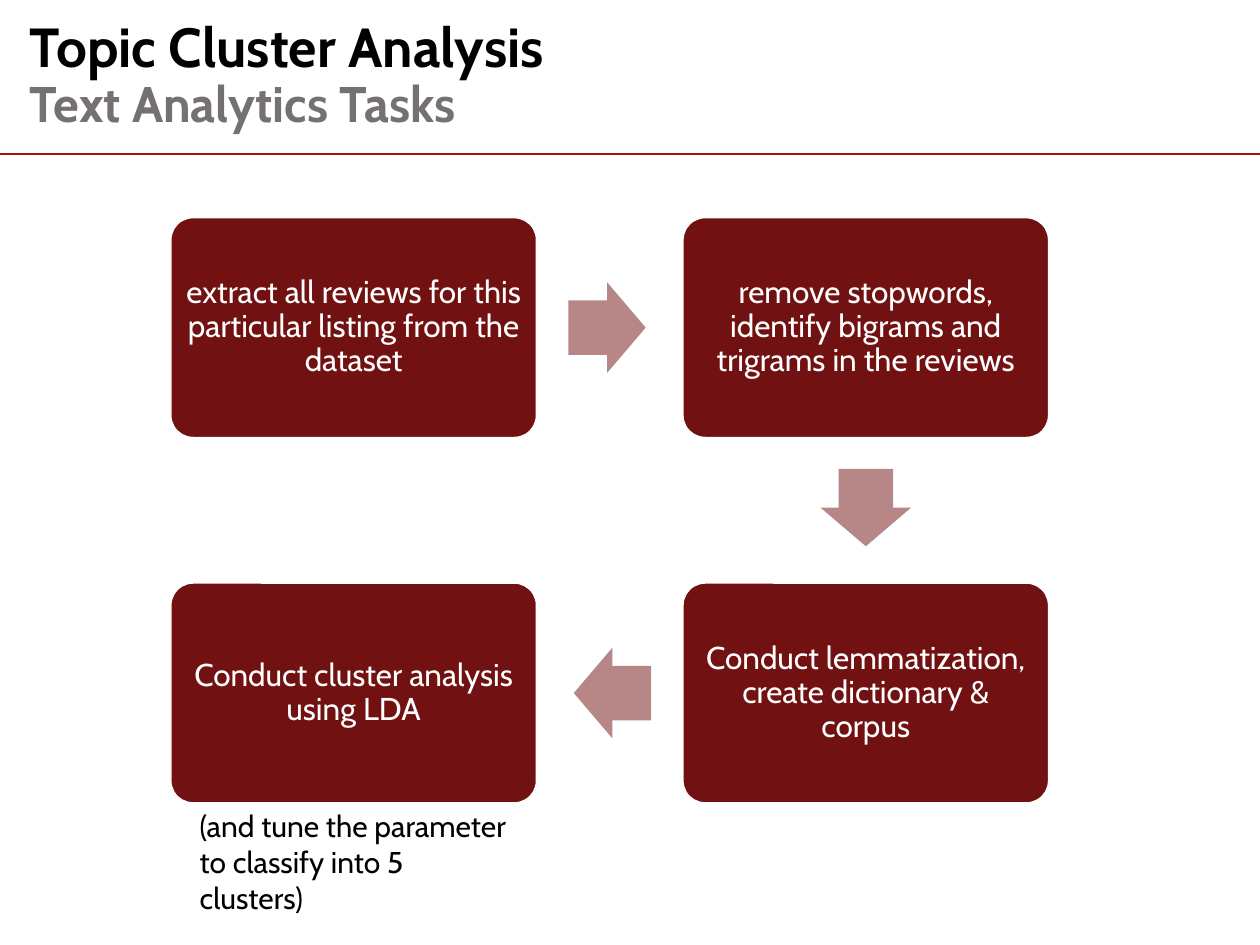
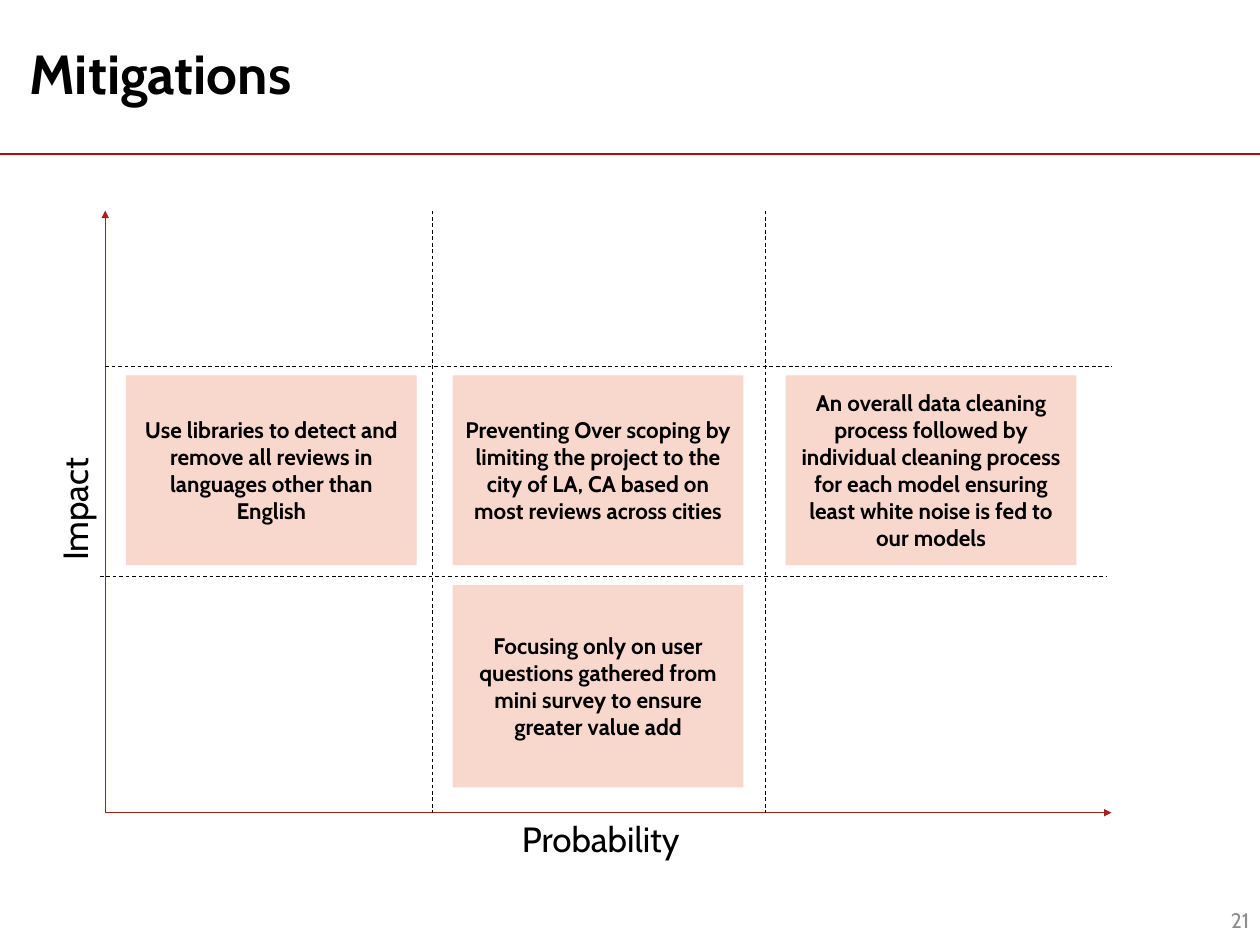
"""Build the topic cluster flow and the mitigation matrix slides."""
import lxml.etree
import pptx
import pptx.dml.color
import pptx.enum.dml
import pptx.enum.shapes
import pptx.enum.text
import pptx.oxml.ns
import pptx.util

Inches = pptx.util.Inches
Pt = pptx.util.Pt
ALIGN = pptx.enum.text.PP_ALIGN
ANCHOR = pptx.enum.text.MSO_ANCHOR
SHAPE = pptx.enum.shapes.MSO_SHAPE

FONT = "Cabin"
COLORS = {
    "text": "000000",
    "subtitle": "767171",
    "rule": "AE0E0E",
    "step": "711111",
    "white": "FFFFFF",
    "axis": "A52020",
    "card": "F8D7CD",
    "number": "8C8C8C",
}
SLIDE_WIDTH, SLIDE_HEIGHT = 14, 10.5
HEADER_HEIGHT = 1.71

STEPS = [
    (0, 0, "extract all reviews for this particular listing from the dataset"),
    (1, 0, "remove stopwords, identify bigrams and trigrams in the reviews"),
    (1, 1, "Conduct lemmatization, create dictionary & corpus"),
    (0, 1, "Conduct cluster analysis using LDA"),
]
CARDS = [
    (0, 1, 2.11, "Use libraries to detect and remove all reviews in languages other than English"),
    (1, 1, 2.11, "Preventing Over scoping by limiting the project to the city of LA, CA "
                 "based on most reviews across cities"),
    (2, 1, 2.11, "An overall data cleaning process followed by individual cleaning process "
                 "for each model ensuring least white noise is fed to our models"),
    (1, 2, 2.25, "Focusing only on user questions gathered from mini survey to ensure "
                 "greater value add"),
]


def color(name):
    """Return the RGB colour registered under a name."""
    return pptx.dml.color.RGBColor.from_string(COLORS[name])


def lengths(*values):
    """Convert inches to slide lengths."""
    return [Inches(value) for value in values]


def add_xml(parent, tag, **attributes):
    """Append a DrawingML child element."""
    return lxml.etree.SubElement(parent, pptx.oxml.ns.qn(tag), attributes)


def format_run(run, size, color_name="text", bold=False):
    """Apply the deck font to one run."""
    run.font.name = FONT
    run.font.size = Pt(size)
    run.font.bold = bold
    run.font.color.rgb = color(color_name)


def write(shape, text, size, color_name="text", bold=False, align=ALIGN.LEFT,
          anchor=ANCHOR.TOP, spacing=1.0):
    """Fill a shape with one formatted paragraph."""
    frame = shape.text_frame
    frame.word_wrap = True
    frame.vertical_anchor = anchor
    frame.text = text
    paragraph = frame.paragraphs[0]
    paragraph.alignment = align
    paragraph.line_spacing = spacing
    for run in paragraph.runs:
        format_run(run, size, color_name, bold)


def add_label(slide, box, text, size, **style):
    """Add a wrapped text box."""
    label = slide.shapes.add_textbox(*lengths(*box))
    write(label, text, size, **style)
    return label


def add_block(slide, kind, box, fill):
    """Add a flat filled shape without an outline."""
    block = slide.shapes.add_shape(kind, *lengths(*box))
    block.shadow.inherit = False
    block.fill.solid()
    block.fill.fore_color.rgb = color(fill)
    block.line.fill.background()
    return block


def add_line(slide, start, end, color_name, width, dashed=False, arrow=False):
    """Add a straight line, optionally dashed or with an arrowhead."""
    line = slide.shapes.add_connector(
        pptx.enum.shapes.MSO_CONNECTOR.STRAIGHT, *lengths(*start, *end))
    line.line.color.rgb = color(color_name)
    line.line.width = Pt(width)
    if dashed:
        line.line.dash_style = pptx.enum.dml.MSO_LINE.DASH
    if arrow:
        add_xml(line.line._get_or_add_ln(), "a:tailEnd", type="triangle")
    add_xml(line._element.spPr, "a:effectLst")


def add_titled_slide(presentation, title, subtitle=None):
    """Add a slide with the header rule, title and optional subtitle."""
    slide = presentation.slides.add_slide(presentation.slide_layouts[5])
    add_line(slide, (-0.03, HEADER_HEIGHT), (SLIDE_WIDTH, HEADER_HEIGHT), "rule", 1.5)
    shape = slide.shapes.title
    shape.left, shape.top, shape.width, shape.height = lengths(
        0.23, 0, SLIDE_WIDTH - 0.23, HEADER_HEIGHT)
    text = f"{title}\v{subtitle}" if subtitle else title
    write(shape, text, 44, bold=True, anchor=ANCHOR.MIDDLE, spacing=0.9)
    shape.text_frame.auto_size = pptx.enum.text.MSO_AUTO_SIZE.NONE
    if subtitle:
        format_run(shape.text_frame.paragraphs[0].runs[1], 40, "subtitle", True)
    return slide


def add_flow_arrow(slide, center_x, center_y, rotation):
    """Add a half-transparent block arrow around a centre point."""
    width, height = 0.86, 1.01
    arrow = add_block(slide, SHAPE.RIGHT_ARROW,
                      (center_x - width / 2, center_y - height / 2, width, height), "step")
    arrow.adjustments[0], arrow.adjustments[1] = 0.6, 0.5
    arrow.rotation = rotation
    fill_color = arrow._element.spPr.find(".//" + pptx.oxml.ns.qn("a:srgbClr"))
    add_xml(fill_color, "a:alpha", val="50000")


def add_step_flow(slide, left, top, width, height):
    """Place the steps in the corners of a box, joined by arrows."""
    step_width, step_height, lag = 4.06, 2.44, 0.03
    pitch_x, pitch_y = width - step_width, height - step_height
    for column, row, text in STEPS:
        box = (left + column * pitch_x, top + row * pitch_y, step_width, step_height)
        step = add_block(slide, SHAPE.ROUNDED_RECTANGLE, box, "step")
        step.adjustments[0] = 0.1
        step.line.color.rgb = color("white")
        step.line.width = Pt(1)
        write(step, text, 25.2, "white", align=ALIGN.CENTER, anchor=ANCHOR.MIDDLE, spacing=0.9)
        frame = step.text_frame
        frame.margin_top = frame.margin_bottom = Inches(0.1)
    for index, (start, end) in enumerate(zip(STEPS, STEPS[1:])):
        column, row = (start[0] + end[0]) / 2, (start[1] + end[1]) / 2
        add_flow_arrow(
            slide,
            left + step_width / 2 + column * pitch_x - lag * (end[0] - start[0]),
            top + step_height / 2 + row * pitch_y - lag * (end[1] - start[1]),
            90 * index)
    add_label(slide, (left + 0.22, top + height, 3.62, 0.91),
              "(and tune the parameter to classify into 5 clusters)", 24)


def add_risk_matrix(slide, left, top, width, height):
    """Draw the impact and probability grid with its cards."""
    columns = [left + offset for offset in (0, 3.63, 7.33)]
    rows = [top + offset for offset in (0, 1.73, 4.06)]
    right, bottom = left + width, top + height
    add_line(slide, (left, bottom), (left, top), "axis", 0.5, arrow=True)
    add_line(slide, (left, bottom), (right, bottom), "axis", 0.5, arrow=True)
    for x in columns[1:]:
        add_line(slide, (x, top), (x, bottom), "text", 0.75, dashed=True)
    for y, shift in zip(rows[1:], (0, 0.06)):
        add_line(slide, (left - shift, y), (right - shift, y), "text", 0.75, dashed=True)
    impact = add_label(slide, (left - 1.41, top + 2.64, 2.13, 0.57), "Impact", 28)
    impact.rotation = 270
    add_label(slide, (left + 4.53, bottom, 2.8, 0.57), "Probability", 28)
    for column, row, card_height, text in CARDS:
        box = (columns[column] + 0.23, rows[row] + 0.1, 3.23, card_height)
        card = add_block(slide, SHAPE.RECTANGLE, box, "card")
        write(card, text, 18, bold=True, align=ALIGN.CENTER, anchor=ANCHOR.MIDDLE)


def add_page_number(slide, number):
    """Add the page number in the lower right corner."""
    add_label(slide, (10.83, 9.94, 3.15, 0.56), number, 16.8, color_name="number",
              align=ALIGN.RIGHT, anchor=ANCHOR.MIDDLE)


def main():
    """Build and save the presentation."""
    presentation = pptx.Presentation()
    presentation.slide_width, presentation.slide_height = lengths(SLIDE_WIDTH, SLIDE_HEIGHT)

    tasks = add_titled_slide(presentation, "Topic Cluster Analysis", "Text Analytics Tasks")
    add_step_flow(tasks, 1.9, 2.42, 9.75, 6.5)

    mitigations = add_titled_slide(presentation, "Mitigations")
    add_risk_matrix(mitigations, 1.17, 2.34, 11.18, 6.69)
    add_page_number(mitigations, "21")

    presentation.save("out.pptx")


if __name__ == "__main__":
    main()
